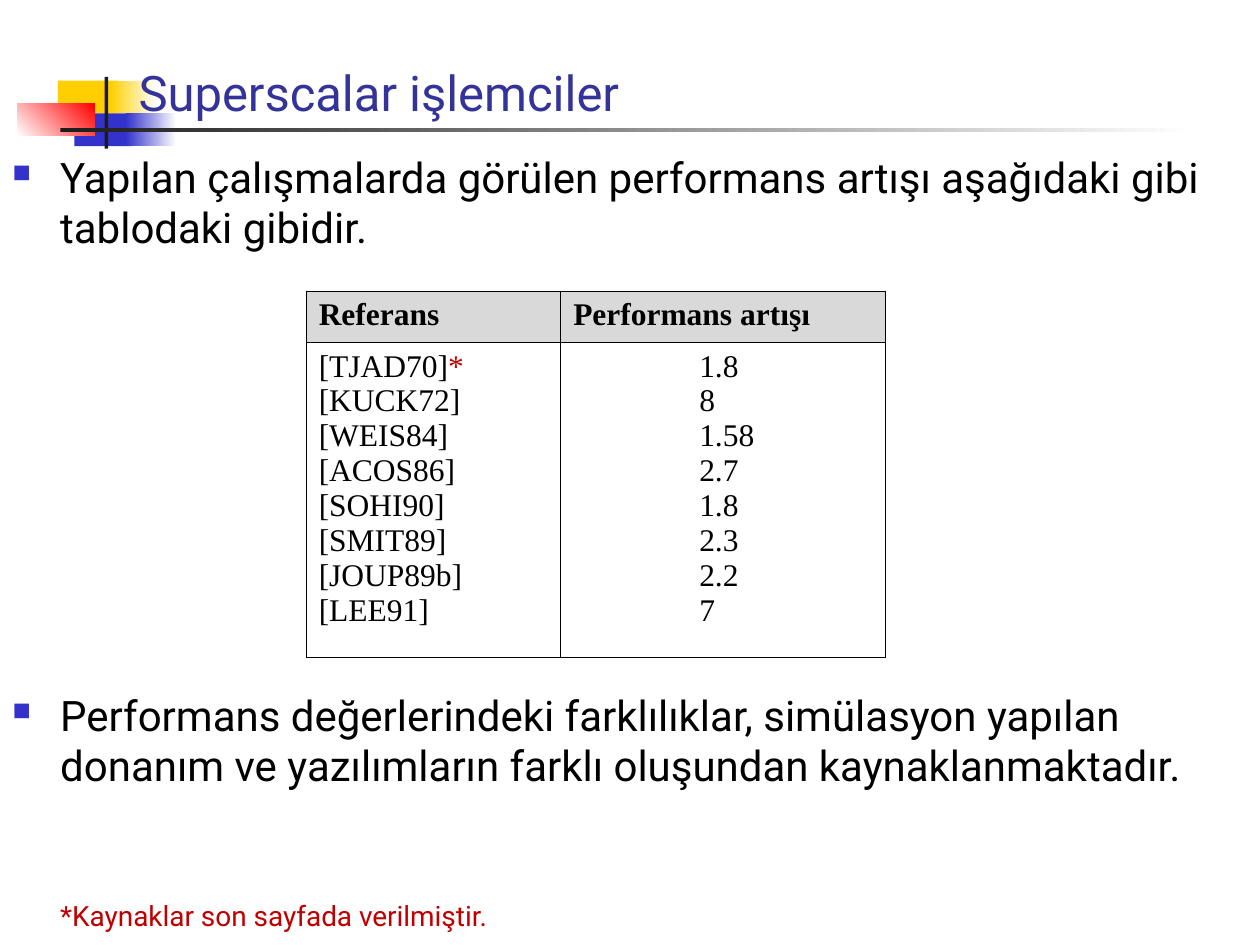
from lxml import etree
from pptx import Presentation
from pptx.dml.color import RGBColor
from pptx.enum import shapes, text
from pptx.oxml import parse_xml
from pptx.oxml.ns import nsdecls, qn
from pptx.util import Inches, Pt


def color(value):
    return RGBColor.from_string(value)


def add_run(paragraph, content, size, font, value, bold=False):
    run = paragraph.add_run()
    run.text = content
    run.font.size = Pt(size)
    run.font.name = font
    run.font.bold = bold
    run.font.color.rgb = color(value)


presentation = Presentation()
presentation.slide_width = Inches(10)
presentation.slide_height = Inches(7.5)
slide = presentation.slides.add_slide(presentation.slide_layouts[6])

decorations = [
    (0.46, 0.64, 0.48, 0.26, ["FFCF01"], 0),
    (0.88, 0.64, 0.36, 0.26, ["FFCF01", "FFFFFF"], 0),
    (0.59, 0.9, 0.46, 0.26, ["3333CC"], 0),
    (1, 0.9, 0.4, 0.26, ["3333CC", "FFFFFF"], 0),
    (0.14, 0.82, 0.61, 0.26, ["FFFFFF", "FF0000"], 45),
    (0.83, 0.61, 0.03, 0.57, ["1C1C1C"], 0),
    (0.48, 1.02, 9, 0.03, ["1C1C1C", "FFFFFF"], 0),
]
for left, top, width, height, colors, angle in decorations:
    shape = slide.shapes.add_shape(
        shapes.MSO_SHAPE.RECTANGLE, Inches(left), Inches(top), Inches(width), Inches(height))
    shape.shadow.inherit = False
    shape.line.fill.background()
    if len(colors) == 1:
        shape.fill.solid()
        shape.fill.fore_color.rgb = color(colors[0])
    else:
        shape.fill.gradient()
        shape.fill.gradient_angle = angle
        for stop, value in zip(shape.fill.gradient_stops, colors):
            stop.color.rgb = color(value)

title = slide.shapes.add_textbox(Inches(0), Inches(0.11), Inches(10), Inches(0.9))
title.text_frame.word_wrap = True
title.text_frame.vertical_anchor = text.MSO_ANCHOR.BOTTOM
title.text_frame.margin_left = Inches(1.1)
add_run(title.text_frame.paragraphs[0], "Superscalar işlemciler", 28, "Roboto", "333399")

body = slide.shapes.add_textbox(Inches(0), Inches(1.15), Inches(10), Inches(6.35))
body.text_frame.word_wrap = True
body_lines = [
    ("Yapılan çalışmalarda görülen performans artışı aşağıdaki gibi tablodaki gibidir.",
     24, "000000", 6, True),
    ("Performans değerlerindeki farklılıklar, simülasyon yapılan donanım ve yazılımların "
     "farklı oluşundan kaynaklanmaktadır.", 24, "000000", 250, True),
    ("*Kaynaklar son sayfada verilmiştir.", 16, "C00000", 62, False),
]
for index, (content, size, value, space, bulleted) in enumerate(body_lines):
    paragraph = body.text_frame.paragraphs[0] if index == 0 else body.text_frame.add_paragraph()
    paragraph.space_before = Pt(space)
    add_run(paragraph, content, size, "Roboto", value)
    properties = paragraph._p.get_or_add_pPr()
    properties.set("marL", str(Inches(0.38)))
    if bulleted:
        properties.set("indent", str(Inches(-0.38)))
        bullet_color = etree.SubElement(properties, qn("a:buClr"))
        etree.SubElement(bullet_color, qn("a:srgbClr"), val="3333CC")
        etree.SubElement(properties, qn("a:buSzPct"), val="60000")
        etree.SubElement(properties, qn("a:buChar"), char="■")

results = [
    ("[TJAD70]", "1.8"), ("[KUCK72]", "8"), ("[WEIS84]", "1.58"), ("[ACOS86]", "2.7"),
    ("[SOHI90]", "1.8"), ("[SMIT89]", "2.3"), ("[JOUP89b]", "2.2"), ("[LEE91]", "7"),
]
references, speedups = zip(*results)
rows = [[["Referans"], ["Performans artışı"]], [references, speedups]]

table = slide.shapes.add_table(2, 2, Inches(2.43), Inches(2.31), Inches(4.6), Inches(2.91)).table
for column, width in zip(table.columns, (2.02, 2.58)):
    column.width = Inches(width)
for row, height in zip(table.rows, (0.41, 2.5)):
    row.height = Inches(height)

for row_index, row in enumerate(rows):
    header = row_index == 0
    for column_index, lines in enumerate(row):
        cell = table.cell(row_index, column_index)
        cell.fill.solid()
        cell.fill.fore_color.rgb = color("D9D9D9" if header else "FFFFFF")
        for index, content in enumerate(lines):
            paragraph = cell.text_frame.paragraphs[0] if index == 0 else cell.text_frame.add_paragraph()
            add_run(paragraph, content, 18, "Times New Roman", "000000", header)
            if lines is speedups:
                paragraph._p.get_or_add_pPr().set("marL", str(Inches(1)))
        for position, side in enumerate(("lnL", "lnR", "lnT", "lnB")):
            border = parse_xml(
                f'<a:{side} {nsdecls("a")} w="{Pt(0.45)}"><a:solidFill>'
                f'<a:srgbClr val="000000"/></a:solidFill></a:{side}>')
            cell._tc.get_or_add_tcPr().insert(position, border)

add_run(table.cell(1, 0).text_frame.paragraphs[0], "*", 18, "Times New Roman", "C00000")

presentation.save("out.pptx")
